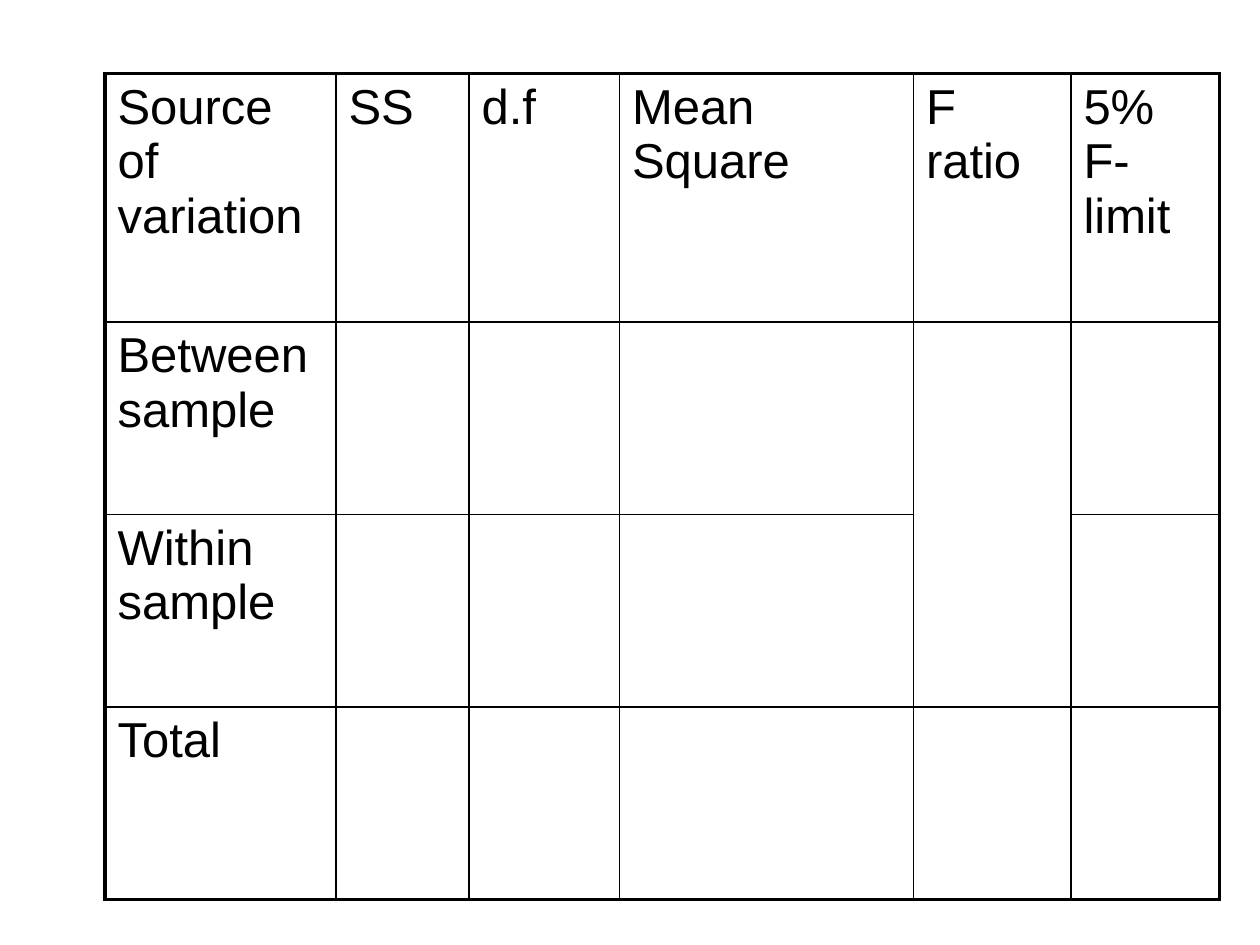
"""Build a slide with an empty one-way analysis of variance table."""
import pptx
import pptx.dml.color
import pptx.oxml
import pptx.oxml.ns
import pptx.util

Pt = pptx.util.Pt

HEADINGS = ["Source of variation", "SS", "d.f", "Mean Square", "F ratio", "5% F-limit"]
SOURCES = ["Between sample", "Within sample", "Total"]
COLUMN_WIDTHS = [132, 76, 86, 168, 90, 85]
ROW_HEIGHTS = [142, 110, 110, 110]
LEFT, TOP = 60, 42
RATIO_COLUMN = HEADINGS.index("F ratio")
INK = "000000"
OUTER, INNER = 2.25, 1


def color(value):
    return pptx.dml.color.RGBColor.from_string(value)


def add_border(cell, side, width):
    line = pptx.oxml.parse_xml(
        f'<a:ln{side} {pptx.oxml.ns.nsdecls("a")} w="{Pt(width)}">'
        f'<a:solidFill><a:srgbClr val="{INK}"/></a:solidFill></a:ln{side}>'
    )
    cell._tc.get_or_add_tcPr().append(line)


def style_cell(cell, row, column):
    last_row, last_column = len(ROW_HEIGHTS) - 1, len(COLUMN_WIDTHS) - 1
    edges = {"L": column == 0, "R": column == last_column,
             "T": row == 0, "B": row == last_row}
    merged_side = {1: "B", 2: "T"}.get(row) if column == RATIO_COLUMN else None
    for side, is_outer in edges.items():
        if side != merged_side or cell.is_merge_origin:
            add_border(cell, side, OUTER if is_outer else INNER)
    cell.fill.background()
    cell.margin_left = cell.margin_right = Pt(7.2)
    cell.margin_top = cell.margin_bottom = Pt(3.6)


def write_cell(cell, text):
    span = cell.text_frame.paragraphs[0].add_run()
    span.text = text
    span.font.name = "Arial"
    span.font.size = Pt(28)
    span.font.bold = False
    span.font.color.rgb = color(INK)


def main():
    deck = pptx.Presentation()
    deck.slide_width, deck.slide_height = Pt(720), Pt(540)
    page = deck.slides.add_slide(deck.slide_layouts[6])
    table = page.shapes.add_table(
        len(ROW_HEIGHTS), len(COLUMN_WIDTHS), Pt(LEFT), Pt(TOP),
        Pt(sum(COLUMN_WIDTHS)), Pt(sum(ROW_HEIGHTS))).table
    table.first_row = table.horz_banding = False
    for column, width in zip(table.columns, COLUMN_WIDTHS):
        column.width = Pt(width)
    for row, height in zip(table.rows, ROW_HEIGHTS):
        row.height = Pt(height)
    table.cell(1, RATIO_COLUMN).merge(table.cell(2, RATIO_COLUMN))
    for row in range(len(ROW_HEIGHTS)):
        for column in range(len(COLUMN_WIDTHS)):
            style_cell(table.cell(row, column), row, column)
    for column, heading in enumerate(HEADINGS):
        write_cell(table.cell(0, column), heading)
    for row, source in enumerate(SOURCES, start=1):
        write_cell(table.cell(row, 0), source)
    deck.save("out.pptx")


if __name__ == "__main__":
    main()
